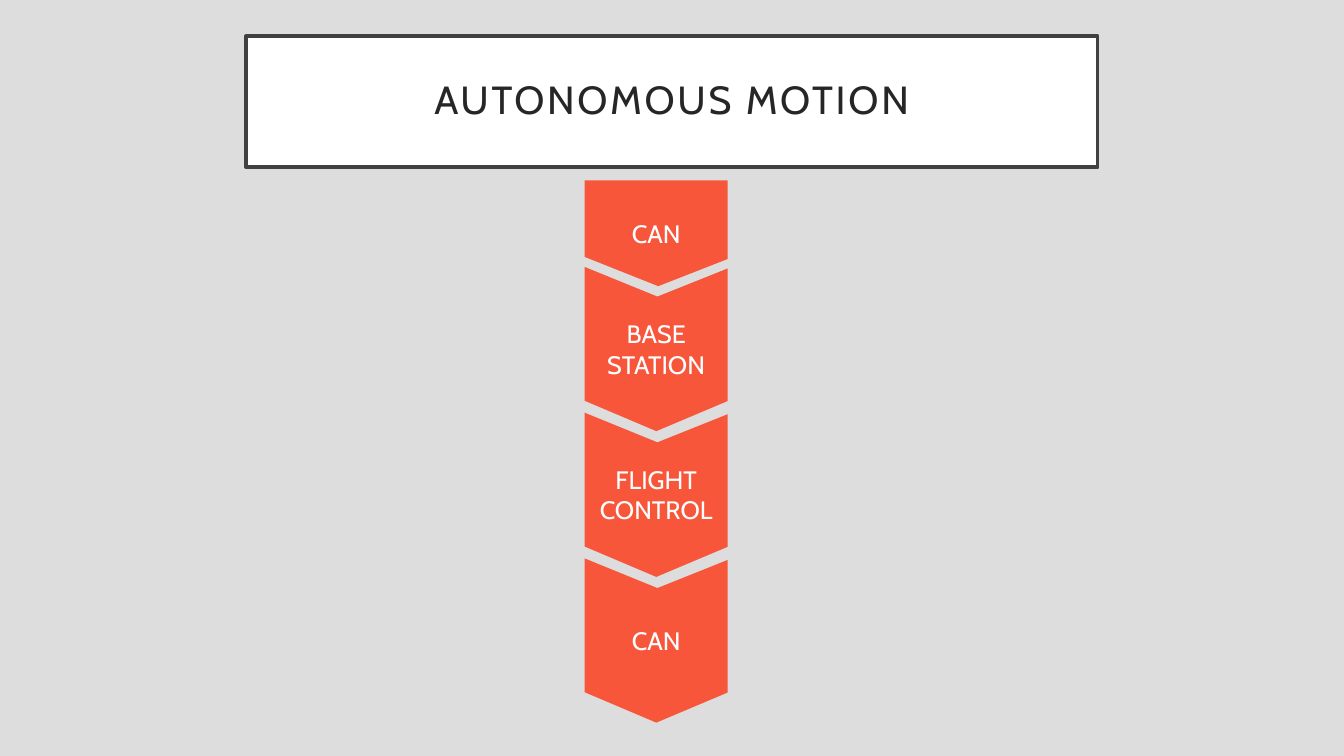
from pptx import Presentation
from pptx.dml.color import RGBColor
from pptx.enum.shapes import MSO_SHAPE as Shape
from pptx.enum.text import MSO_ANCHOR as Anchor, PP_ALIGN as Align
from pptx.util import Pt

TITLE = "AUTONOMOUS MOTION"
STEPS = ["CAN", "BASE STATION", "FLIGHT CONTROL", "CAN"]
FONT = "Cabin"
COLORS = {"page": "DDDDDD", "step": "F7563B", "white": "FFFFFF",
          "frame": "404040", "title": "262626"}

STEP_LEFT, STEP_WIDTH = 417.6, 102.2
FIRST_TOP, SECOND_TOP, PITCH = 128.8, 190.7, 104.1
FIRST_OUTLINE = [(0, 0), (STEP_WIDTH, 0), (STEP_WIDTH, 56.2), (52.6, 75.6), (0, 54.7)]
CHEVRON_OUTLINE = [(0, 0), (52, 21.2), (STEP_WIDTH, 1.1),
                   (STEP_WIDTH, 95.8), (51.2, 117.3), (0, 95.6)]


def color(name):
    """Return the named colour."""
    return RGBColor.from_string(COLORS[name])


def write(shape, text, size, ink):
    """Put centred text in a shape and return its paragraph."""
    frame = shape.text_frame
    frame.text = text
    frame.word_wrap = True
    frame.vertical_anchor = Anchor.MIDDLE
    para = frame.paragraphs[0]
    para.alignment = Align.CENTER
    font = para.runs[0].font
    font.name, font.size = FONT, Pt(size)
    font.color.rgb = color(ink)
    return para


def add_title(page):
    """Add the framed title."""
    box = page.shapes.add_shape(Shape.RECTANGLE, Pt(175.7), Pt(25.9), Pt(608.4), Pt(93.6))
    box.shadow.inherit = False
    box.fill.solid()
    box.fill.fore_color.rgb = color("white")
    box.line.color.rgb = color("frame")
    box.line.width = Pt(2.5)
    frame = box.text_frame
    frame.margin_left = frame.margin_right = Pt(14.4)
    frame.margin_top = frame.margin_bottom = Pt(14.4)
    para = write(box, TITLE, 28, "title")
    para.line_spacing = 0.9
    para.runs[0]._r.get_or_add_rPr().set("spc", "200")


def add_step(page, text, top, outline):
    """Add one downward step with the given outline."""
    points = [(Pt(STEP_LEFT + x), Pt(top + y)) for x, y in outline]
    builder = page.shapes.build_freeform(*points[0])
    builder.add_line_segments(points[1:], close=True)
    step = builder.convert_to_shape()
    step.shadow.inherit = False
    step.fill.solid()
    step.fill.fore_color.rgb = color("step")
    step.line.fill.background()
    write(step, text, 18, "white")


def main():
    """Build the slide and save it."""
    deck = Presentation()
    deck.slide_width, deck.slide_height = Pt(960), Pt(540)
    page = deck.slides.add_slide(deck.slide_layouts[6])
    page.background.fill.solid()
    page.background.fill.fore_color.rgb = color("page")
    add_title(page)
    add_step(page, STEPS[0], FIRST_TOP, FIRST_OUTLINE)
    for index, text in enumerate(STEPS[1:]):
        add_step(page, text, SECOND_TOP + index * PITCH, CHEVRON_OUTLINE)
    deck.save("out.pptx")


if __name__ == "__main__":
    main()
